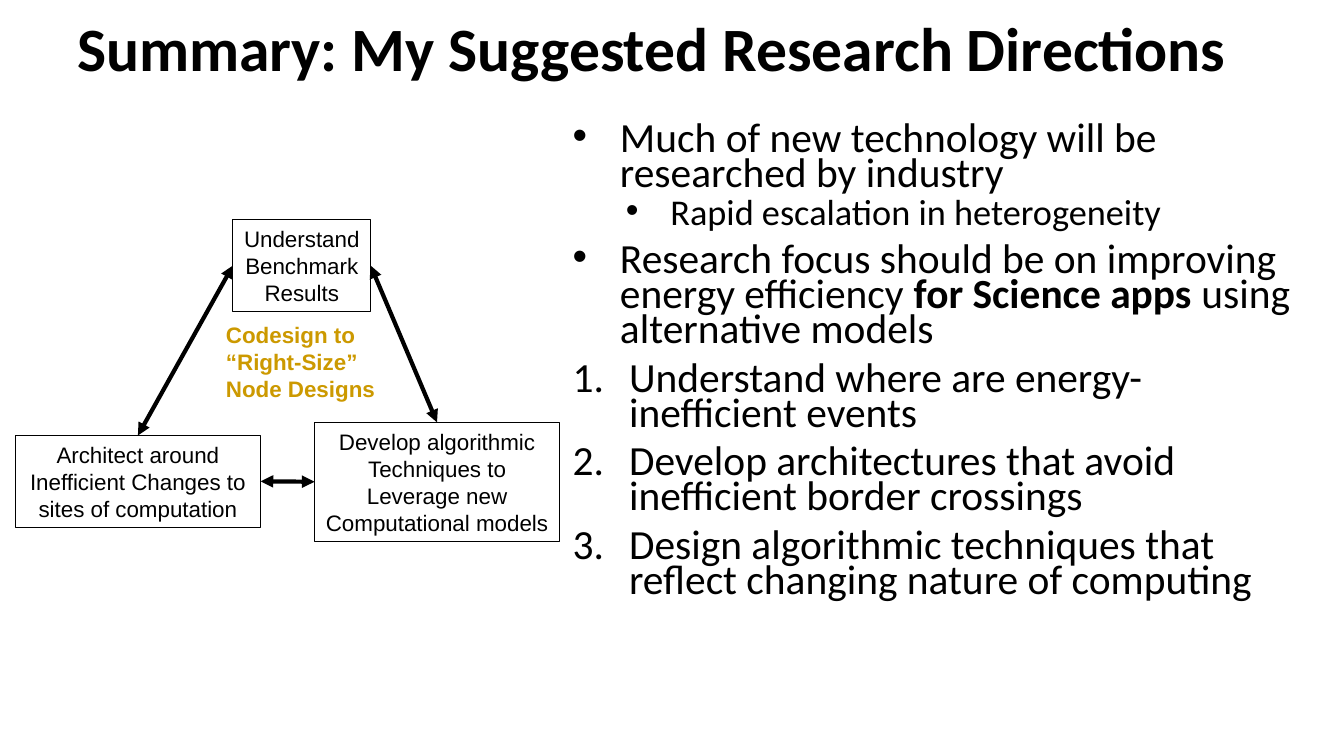
import dataclasses
import lxml.etree
import pptx
import pptx.dml.color
import pptx.enum.shapes
import pptx.enum.text
import pptx.oxml.ns
import pptx.util


@dataclasses.dataclass(frozen=True)
class Theme:
    """Colours, fonts and type sizes of the slide."""
    ink: str = "000000"
    gold: str = "CC9900"
    head: str = "Calibri"
    label: str = "Arial"
    title: float = 44
    point: float = 29.6
    sub: float = 25.9
    node: float = 16
    edge: float = 0.75
    arrow: float = 3


THEME = Theme()
WIDE, HIGH = pptx.util.Inches(13.33), pptx.util.Inches(7.5)
TITLE = (5, -0.4, 90, 14.53)
LOOP = (1.13, 29.07, 40.5, 42.53)
POINTS = (41.64, 15.87, 55.59, 74.13)


def color(code):
    """Turn a hex code into a colour."""
    return pptx.dml.color.RGBColor.from_string(code)


def part(box, area):
    """Find an area given in percent of a box."""
    left, top, width, height = box
    across, down, wide, high = area
    return (int(left + width * across / 100), int(top + height * down / 100),
            int(width * wide / 100), int(height * high / 100))


def style(para, face, size, ink=THEME.ink, bold=False):
    """Set the font of a paragraph."""
    para.font.name = face
    para.font.size = pptx.util.Pt(size)
    para.font.color.rgb = color(ink)
    para.font.bold = bold


def child(parent, tag, **attrs):
    """Add a drawing element to a parent."""
    return lxml.etree.SubElement(parent, pptx.oxml.ns.qn("a:" + tag), attrs)


def write(shape, lines, align, ink=THEME.ink, bold=False):
    """Write unwrapped label lines in a shape."""
    frame = shape.text_frame
    frame.word_wrap = False
    frame.text = "\n".join(lines)
    for para in frame.paragraphs:
        para.alignment = align
        style(para, THEME.label, THEME.node, ink, bold)


def title(slide, box):
    """Place the heading."""
    frame = slide.shapes.add_textbox(*box).text_frame
    frame.word_wrap = True
    frame.vertical_anchor = pptx.enum.text.MSO_ANCHOR.MIDDLE
    frame.text = "Summary: My Suggested Research Directions"
    para = frame.paragraphs[0]
    para.line_spacing = 0.9
    style(para, THEME.head, THEME.title, bold=True)


def node(slide, box, lines):
    """Draw one outlined step."""
    shape = slide.shapes.add_shape(pptx.enum.shapes.MSO_SHAPE.RECTANGLE, *box)
    shape.shadow.inherit = False
    shape.fill.background()
    shape.line.color.rgb = color(THEME.ink)
    shape.line.width = pptx.util.Pt(THEME.edge)
    write(shape, lines, pptx.enum.text.PP_ALIGN.CENTER)
    return shape


def link(slide, start, out, end, into):
    """Join two steps with a double arrow."""
    line = slide.shapes.add_connector(
        pptx.enum.shapes.MSO_CONNECTOR.STRAIGHT, 0, 0, 0, 0)
    line.begin_connect(start, out)
    line.end_connect(end, into)
    line.line.color.rgb = color(THEME.ink)
    line.line.width = pptx.util.Pt(THEME.arrow)
    stroke = line.line._get_or_add_ln()
    for tip in ("headEnd", "tailEnd"):
        child(stroke, tip, type="triangle")
    child(line._element.spPr, "effectLst")


def loop(slide, box):
    """Draw the codesign triangle."""
    study = node(slide, part(box, (40, 0, 25.3, 28.5)),
                 ("Understand", "Benchmark", "Results"))
    build = node(slide, part(box, (0, 67.1, 45.1, 28.5)),
                 ("Architect around", "Inefficient Changes to",
                  "sites of computation"))
    solve = node(slide, part(box, (55, 63, 45, 37)),
                 ("Develop algorithmic", "Techniques to", "Leverage new",
                  "Computational models"))
    top, left, right = 0, 1, 3
    link(slide, build, top, study, left)
    link(slide, solve, top, study, right)
    link(slide, build, right, solve, left)
    note = slide.shapes.add_textbox(*part(box, (36.9, 30.1, 31.5, 28.5)))
    write(note, ("Codesign to", "“Right-Size”", "Node Designs"),
          pptx.enum.text.PP_ALIGN.LEFT, THEME.gold, True)


def points(slide, box):
    """Place the bullets and the numbered steps."""
    dot = (0.5, 0.47, THEME.point, 10, "buChar", {"char": "•"})
    sub = (1, 0.44, THEME.sub, 5, "buChar", {"char": "•"})
    step = (0.59, 0.56, THEME.point, 10, "buAutoNum", {"type": "arabicPeriod"})
    items = (
        (dot, ("Much of new technology will be researched by industry",)),
        (sub, ("Rapid escalation in heterogeneity",)),
        (dot, ("Research focus should be on improving energy efficiency ",
               "for Science apps ", "using alternative models")),
        (step, ("Understand where are energy-inefficient events",)),
        (step, ("Develop architectures that avoid inefficient border crossings",)),
        (step, ("Design algorithmic techniques that reflect changing nature "
                "of computing",)),
    )
    frame = slide.shapes.add_textbox(*box).text_frame
    frame.word_wrap = True
    for index, (kind, texts) in enumerate(items):
        indent, hang, size, gap, mark, attrs = kind
        para = frame.add_paragraph() if index else frame.paragraphs[0]
        para.level = int(kind is sub)
        para.line_spacing = 0.7
        para.space_before = pptx.util.Pt(gap if index else 0)
        props = para._p.get_or_add_pPr()
        props.set("marL", str(pptx.util.Inches(indent)))
        props.set("indent", str(-pptx.util.Inches(hang)))
        child(child(props, "buClr"), "srgbClr", val=THEME.ink)
        child(props, "buFont", typeface=THEME.label if mark == "buChar" else THEME.head)
        child(props, mark, **attrs)
        style(para, THEME.head, size)
        for place, text in enumerate(texts):
            run = para.add_run()
            run.text = text
            if place == 1:
                run.font.bold = True


def main():
    """Build and save the slide."""
    deck = pptx.Presentation()
    deck.slide_width, deck.slide_height = WIDE, HIGH
    slide = deck.slides.add_slide(deck.slide_layouts[6])
    page = (0, 0, WIDE, HIGH)
    for draw, area in ((title, TITLE), (points, POINTS), (loop, LOOP)):
        draw(slide, part(page, area))
    deck.save("out.pptx")


if __name__ == "__main__":
    main()
